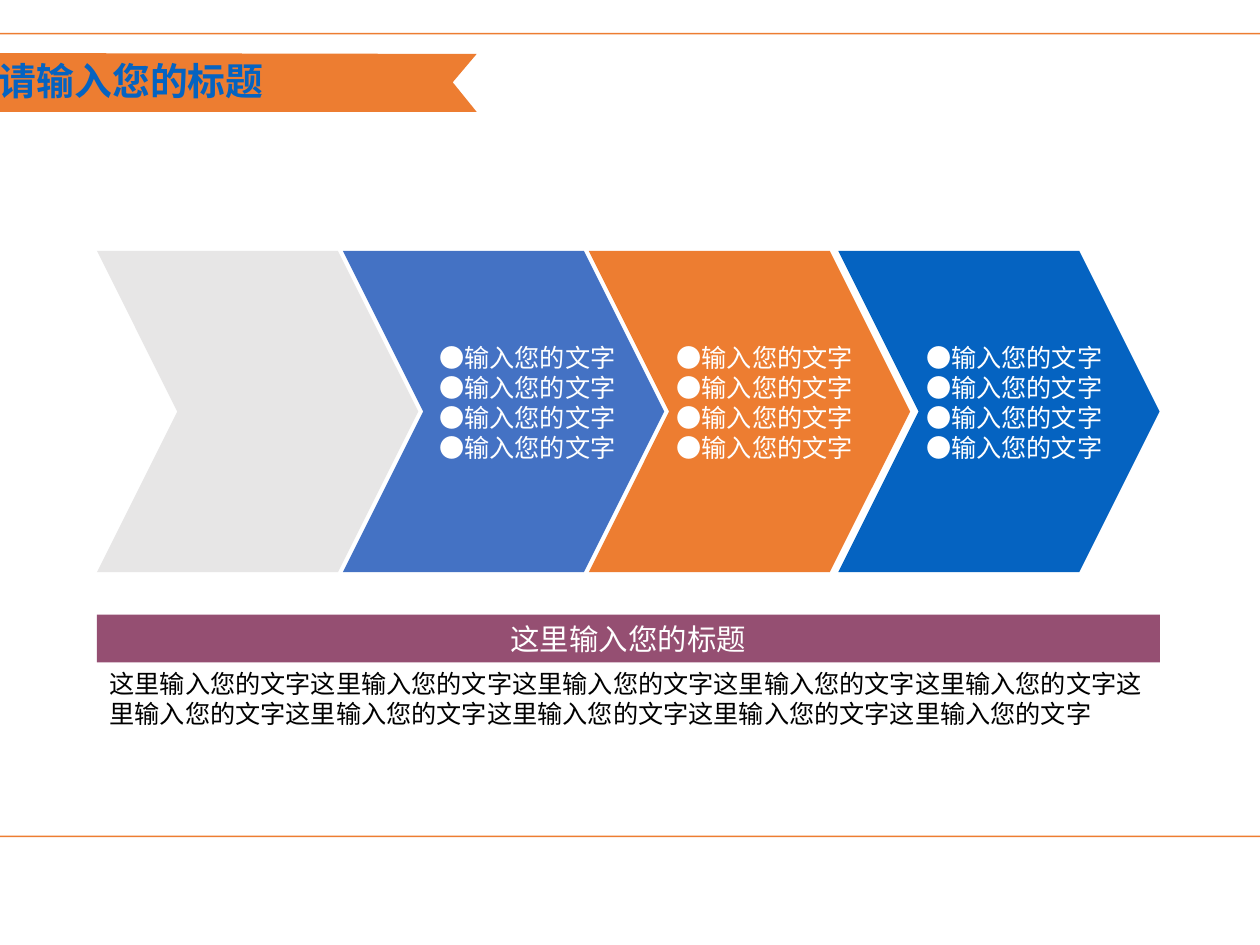
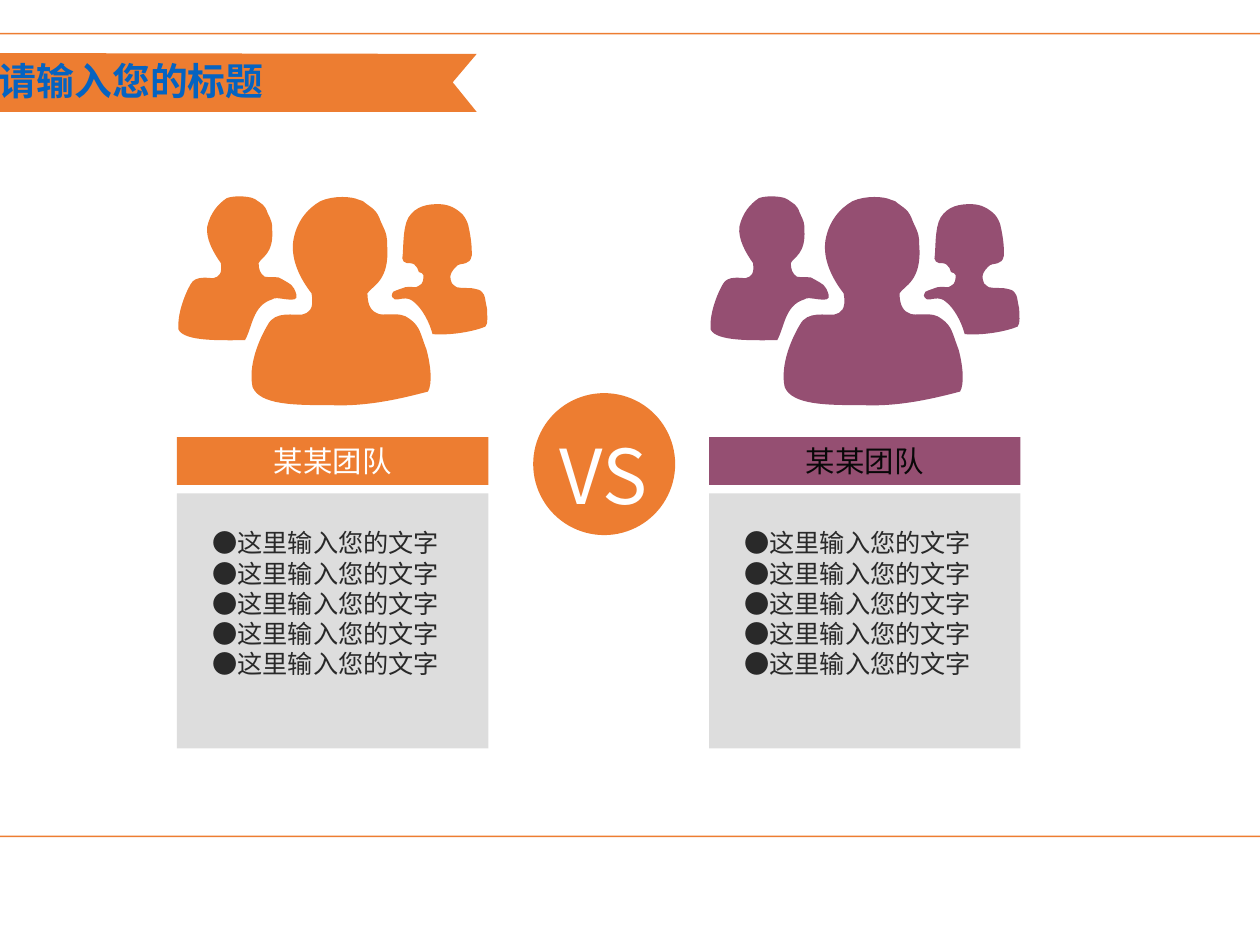
from dataclasses import dataclass

from pptx import Presentation
from pptx.dml.color import RGBColor
from pptx.enum.shapes import MSO_SHAPE as SHAPE
from pptx.enum.text import MSO_ANCHOR as ANCHOR, PP_ALIGN as ALIGN
from pptx.oxml.ns import qn
from pptx.util import Pt
from lxml.etree import SubElement


@dataclass(frozen=True)
class Theme:
    white: str = "FFFFFF"
    orange: str = "ED7D31"
    blue: str = "0563C1"
    royal: str = "4472C4"
    plum: str = "954F72"
    pale: str = "E7E6E6"
    panel: str = "DDDDDD"
    black: str = "000000"
    ink: str = "080808"
    charcoal: str = "292929"
    latin: str = "Arial"
    cjk: str = "Noto Sans CJK SC"
    title: float = 18
    heading: float = 14
    body: float = 12
    versus: float = 36
    leading: float = 1.2


T = Theme()
HUNDREDTH = 0.72

FRONT_PERSON = ((123, 4), [
    (129, 9, 132, 9, 135, 18), (139, 26, 139, 28, 139, 33),
    (141, 57, 129, 60, 126, 65), (126, 70, 127, 76, 132, 78),
    (136, 81, 147, 76, 154, 82), (161, 87, 161, 92, 165, 102),
    (168, 113, 169, 125, 166, 130), (147, 135, 125, 140, 102, 139),
    (78, 139, 55, 139, 50, 127), (47, 113, 54, 96, 60, 86),
    (65, 76, 78, 80, 83, 79), (87, 78, 91, 76, 89, 65),
    (82, 56, 75, 43, 77, 30), (79, 18, 86, 9, 95, 4),
    (104, 0, 116, 1, 120, 3)])
LEFT_PERSON = ((52, 3), [
    (56, 6, 58, 6, 60, 12), (63, 18, 63, 19, 63, 23),
    (64, 39, 56, 41, 54, 45), (54, 49, 55, 52, 58, 54),
    (61, 55, 67, 53, 70, 56), (75, 59, 77, 59, 79, 66),
    (81, 73, 65, 66, 63, 69), (50, 73, 50, 87, 45, 96),
    (29, 96, 5, 97, 1, 89), (0, 79, 5, 66, 9, 59),
    (12, 53, 21, 55, 24, 55), (28, 54, 30, 52, 29, 45),
    (24, 38, 19, 29, 20, 21), (22, 12, 27, 6, 33, 2),
    (39, 0, 47, 1, 50, 2)])
RIGHT_PERSON = ((149, 42), [
    (150, 36, 149, 22, 153, 15), (158, 7, 166, 6, 173, 6),
    (180, 6, 185, 9, 189, 13), (193, 18, 193, 22, 194, 27),
    (195, 33, 195, 37, 195, 40), (194, 44, 193, 44, 191, 45),
    (189, 46, 186, 45, 184, 48), (182, 50, 180, 53, 181, 56),
    (181, 58, 182, 59, 185, 61), (189, 62, 194, 61, 197, 62),
    (201, 63, 201, 63, 203, 66), (204, 68, 204, 71, 205, 75),
    (205, 79, 206, 85, 204, 87), (197, 90, 182, 93, 169, 92),
    (167, 84, 162, 75, 157, 71), (152, 66, 146, 70, 144, 69),
    (141, 67, 142, 66, 143, 64), (145, 63, 148, 62, 151, 61),
    (155, 60, 158, 62, 160, 60), (163, 59, 163, 55, 163, 53),
    (163, 51, 161, 52, 160, 51), (159, 49, 159, 47, 157, 46),
    (156, 45, 153, 45, 152, 45), (150, 44, 150, 44, 150, 44)])


def paint(sp, fill, line=None):
    sp.shadow.inherit = False
    sp.fill.solid()
    sp.fill.fore_color.rgb = RGBColor.from_string(fill)
    if line:
        sp.line.color.rgb = RGBColor.from_string(line)
        sp.line.width = Pt(0.75)
    else:
        sp.line.fill.background()
    return sp


def add_block(shapes, kind, box, fill, line=None, adjust=None):
    sp = paint(shapes.add_shape(kind, *map(Pt, box)), fill, line)
    if adjust is not None:
        sp.adjustments[0] = adjust
    return sp


def add_outline(shapes, points, fill, close=True):
    first, *rest = [(Pt(x), Pt(y)) for x, y in points]
    builder = shapes.build_freeform(*first, scale=1.0)
    builder.add_line_segments(rest, close=close)
    return paint(builder.convert_to_shape(), fill)


def add_curved_outline(shapes, left, top, start, curves, fill):
    def place(x, y):
        return left + x * HUNDREDTH, top + y * HUNDREDTH

    ends = [place(*start)] + [place(*curve[4:]) for curve in curves]
    sp = add_outline(shapes, ends, fill, close=False)
    segments = list(sp._element.iter(qn("a:lnTo")))
    for segment, curve in zip(segments, curves):
        bend = SubElement(segment.getparent(), qn("a:cubicBezTo"))
        for i in (0, 2, 4):
            x, y = place(*curve[i:i + 2])
            pt = SubElement(bend, qn("a:pt"))
            pt.set("x", str(Pt(x) - sp.left))
            pt.set("y", str(Pt(y) - sp.top))
        segment.getparent().replace(segment, bend)


def write(sp, *lines, size=T.body, color=T.white, font=T.cjk, bold=False,
          align=ALIGN.LEFT, anchor=ANCHOR.TOP, wrap=True, side=6):
    tf = sp.text_frame
    tf.word_wrap = wrap
    tf.vertical_anchor = anchor
    tf.margin_left = tf.margin_right = Pt(side)
    tf.margin_top = tf.margin_bottom = Pt(2.9)
    for i, line in enumerate(lines):
        p = tf.add_paragraph() if i else tf.paragraphs[0]
        p.alignment = align
        p.line_spacing = Pt(size * T.leading)
        r = p.add_run()
        r.text = line
        r.font.size, r.font.bold, r.font.name = Pt(size), bold, font
        r.font.color.rgb = RGBColor.from_string(color)
        SubElement(r.font._element, qn("a:ea")).set("typeface", T.cjk)


def add_text(shapes, box, *lines, **style):
    write(shapes.add_textbox(*map(Pt, box)), *lines, **style)


def add_heading_bar(shapes, box, text, fill, color=T.white):
    write(add_block(shapes, SHAPE.RECTANGLE, box, fill), text, size=T.heading,
          color=color, font=T.latin, align=ALIGN.CENTER, anchor=ANCHOR.MIDDLE)


def add_people(shapes, left, top, fill):
    group = shapes.add_group_shape()
    for start, curves in (FRONT_PERSON, LEFT_PERSON, RIGHT_PERSON):
        add_curved_outline(group.shapes, left, top, start, curves, fill)


def add_page(prs, title):
    shapes = prs.slides.add_slide(prs.slide_layouts[6]).shapes
    frame = add_block(shapes, SHAPE.ROUNDED_RECTANGLE, (-20.2, 16, 643.7, 382.3),
                      T.white, T.orange, 0.027)
    tint = frame._element.spPr.find(qn("a:solidFill"))[0]
    SubElement(tint, qn("a:alpha")).set("val", "70000")
    add_outline(shapes, [(-35.3, 53.3), (227, 53.3), (215.6, 39.2),
                         (227, 25.7), (-34.9, 25.2)], T.orange)
    add_text(shapes, (-6.5, 24.5, 193.7, 27.4), title,
             size=T.title, color=T.blue, font=T.latin, bold=True)
    return shapes


def build_process(prs):
    shapes = add_page(prs, "请输入您的标题")
    left, top, side, width = 46.2, 119.5, 153, 506.2
    for x, fill in ((left, T.pale), (163.3, T.royal),
                    (280.4, T.orange), (399.2, T.blue)):
        add_block(shapes, SHAPE.CHEVRON, (x, top, side, side), fill, adjust=0.25)
    for x in (203.2, 316.2, 435):
        add_text(shapes, (x, 160, 103.7, 64.1), *["●输入您的文字"] * 4)
    add_text(shapes, (left, 315.4, width, 34.6), "这里输入您的文字" * 10, color=T.black)
    add_heading_bar(shapes, (left, 292.7, width, 22.7), "这里输入您的标题", T.plum)


def build_versus(prs):
    shapes = add_page(prs, "请输入您的标题")
    width = 148.3
    for left, fill, color in ((84.3, T.orange, T.white), (337.7, T.plum, T.ink)):
        add_people(shapes, left, 92.9, fill)
        add_heading_bar(shapes, (left, 208.2, width, 22.8), "某某团队", fill, color)
        add_block(shapes, SHAPE.RECTANGLE, (left, 235, width, 121.5), T.panel)
        add_text(shapes, (left + 10.8, 248.4, 128.9, 78.5),
                 *["●这里输入您的文字"] * 5, color=T.charcoal)
    badge = shapes.add_group_shape().shapes
    add_block(badge, SHAPE.OVAL, (253.9, 187.2, 67.6, 67.6), T.orange)
    add_text(badge, (262.4, 201.2, 49.7, 37.4), "VS", size=T.versus,
             align=ALIGN.CENTER, wrap=False, side=2)


def main():
    prs = Presentation()
    prs.slide_width, prs.slide_height = Pt(600), Pt(450)
    build_process(prs)
    build_versus(prs)
    prs.save("out.pptx")


if __name__ == "__main__":
    main()
